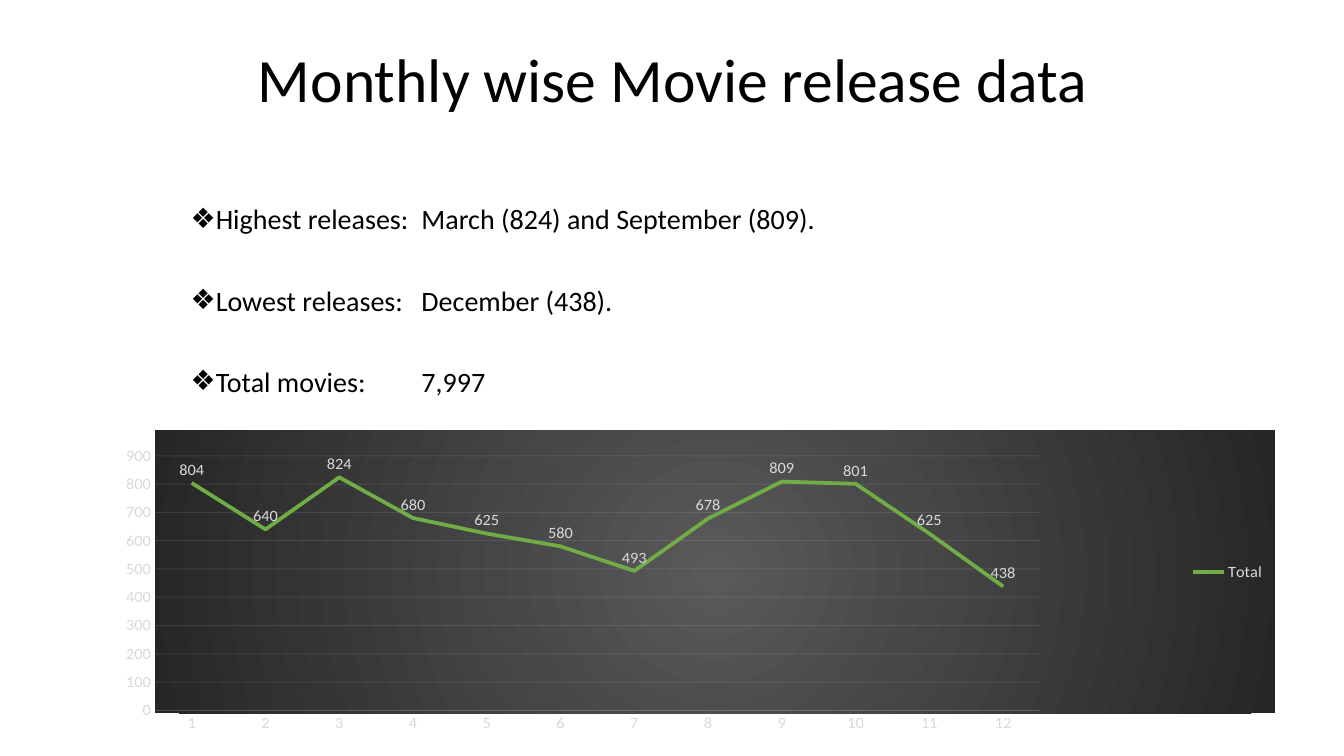
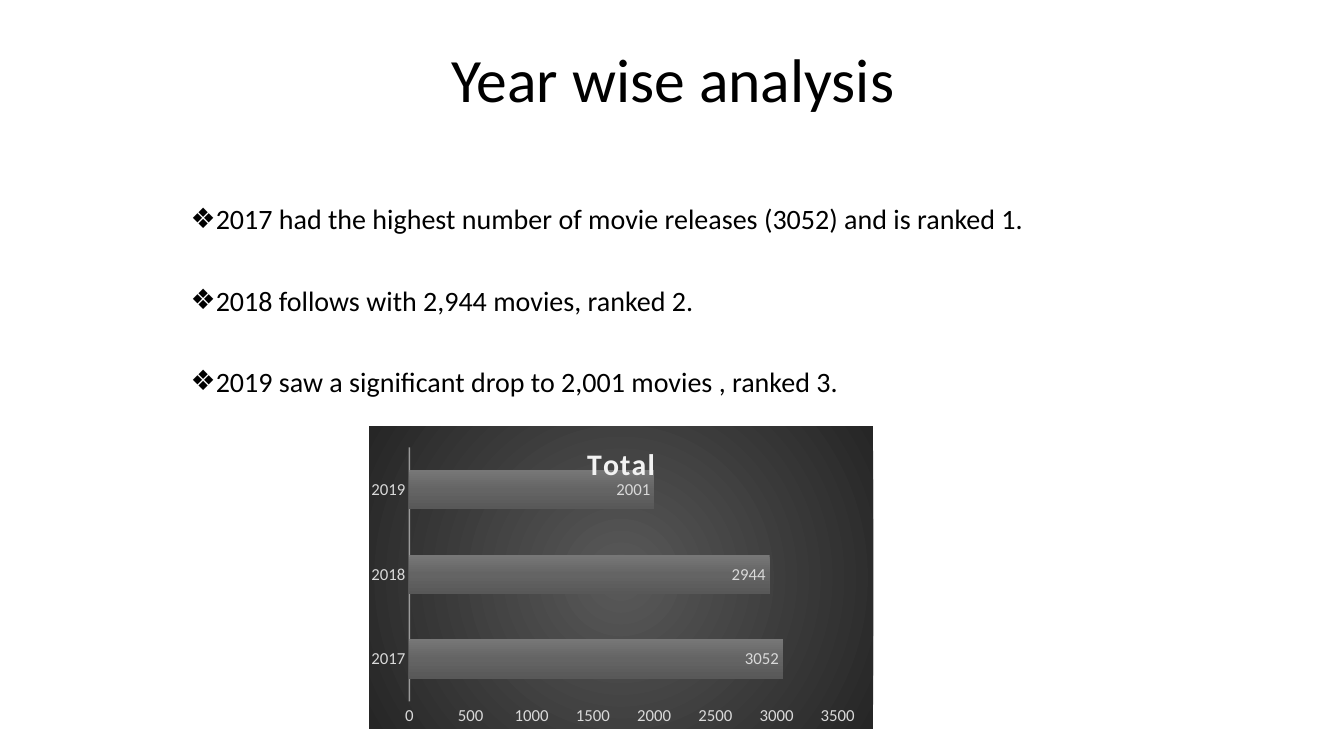
from lxml import etree
from pptx import Presentation
from pptx import util as u
from pptx.chart import data as cd
from pptx.dml.color import RGBColor
from pptx.enum import chart as ch
from pptx.enum import text as tx
from pptx.oxml import parse_xml
from pptx.oxml import ns

PX = 9144  # 100 px to the inch
FONT = "Calibri"
INK = {
    "text": "000000",
    "label": "D9D9D9",
    "pale": "F2F2F2",
    "line": "70AD47",
    "glow": "595959",
    "edge": "262626",
    "top": "777777",
    "mid": "646464",
    "base": "585858",
}
TITLE = (180, 41, 975, 82)
BODY = (179, 162, 975, 505)
TAB = 229


def px(n):
    return u.Emu(n * PX)


def rgb(key):
    return RGBColor.from_string(INK[key])


def style(font, size, key, bold=False):
    font.name, font.size, font.bold = FONT, u.Pt(size), bold
    font.color.rgb = rgb(key)


def place(shape, box):
    shape.left, shape.top, shape.width, shape.height = map(px, box)


# Text

def add_run(para, words, size, key="text", bold=False):
    run = para.add_run()
    run.text = words
    style(run.font, size, key, bold)
    return run


def set_title(slide, words):
    shape = slide.shapes.title
    place(shape, TITLE)
    frame = shape.text_frame
    frame.auto_size = tx.MSO_AUTO_SIZE.NONE
    frame.vertical_anchor = tx.MSO_ANCHOR.MIDDLE
    para = frame.paragraphs[0]
    para.alignment, para.line_spacing = tx.PP_ALIGN.CENTER, 0.9
    add_run(para, words, 44)


def set_list(slide, items):
    shape = slide.placeholders[1]
    place(shape, BODY)
    frame = shape.text_frame
    frame.auto_size = tx.MSO_AUTO_SIZE.NONE
    for i, words in enumerate(items):
        para = frame.add_paragraph() if i else frame.paragraphs[0]
        para.line_spacing, para.space_before = 2.0, u.Pt(10)
        add_run(para, words, 20)
        # Bullet with a hanging indent, and a tab stop for the values
        prop = para._p.get_or_add_pPr()
        prop.set("marL", str(px(25)))
        prop.set("indent", str(px(-25)))
        etree.SubElement(prop, ns.qn("a:buChar"), char="❖")
        if "\t" in words:
            tabs = etree.SubElement(prop, ns.qn("a:tabLst"))
            etree.SubElement(tabs, ns.qn("a:tab"), pos=str(px(TAB)), algn="l")


# Chart parts

def grad(stops, way):
    marks = "".join(
        f'<a:gs pos="{pos * 1000}"><a:srgbClr val="{INK[key]}"/></a:gs>'
        for pos, key in stops)
    return parse_xml(
        f'<a:gradFill {ns.nsdecls("a")} rotWithShape="1">'
        f'<a:gsLst>{marks}</a:gsLst>{way}</a:gradFill>')


def set_back(chart):
    prop = parse_xml(f'<c:spPr {ns.nsdecls("c", "a")}>'
                     '<a:ln><a:noFill/></a:ln></c:spPr>')
    way = ('<a:path path="circle"><a:fillToRect l="50000" t="50000" '
           'r="50000" b="50000"/></a:path>')
    prop.insert(0, grad([(0, "glow"), (100, "edge")], way))
    chart._chartSpace.find(ns.qn("c:chart")).addnext(prop)


def set_plot(chart, box):
    area = chart._chartSpace.find(".//" + ns.qn("c:plotArea"))
    old = area.find(ns.qn("c:layout"))
    if old is not None:
        area.remove(old)
    sizes = "".join(f'<c:{k} val="{v}"/>' for k, v in zip("xywh", box))
    area.insert(0, parse_xml(
        f'<c:layout {ns.nsdecls("c")}><c:manualLayout>'
        '<c:layoutTarget val="inner"/><c:xMode val="edge"/>'
        f'<c:yMode val="edge"/>{sizes}</c:manualLayout></c:layout>'))


def set_line(line, width, alpha):
    line.width = u.Pt(width)
    line.color.rgb = rgb("pale")
    for tone in line._ln.iter(ns.qn("a:srgbClr")):
        etree.SubElement(tone, ns.qn("a:alpha"), val=str(alpha * 1000))


def set_axes(chart, width, alpha, grid):
    for axis in (chart.category_axis, chart.value_axis):
        axis.major_tick_mark = axis.minor_tick_mark = ch.XL_TICK_MARK.NONE
        axis.has_major_gridlines = False
        style(axis.tick_labels.font, 12, "label")
    set_line(chart.category_axis.format.line, width, alpha)
    axis = chart.value_axis
    axis.format.line.fill.background()
    if grid:
        axis.has_major_gridlines = True
        set_line(axis.major_gridlines.format.line, 0.75, 10)


def set_labels(plot, spot):
    plot.vary_by_categories = False
    plot.has_data_labels = True
    labels = plot.data_labels
    labels.show_value, labels.position = True, spot
    style(labels.font, 12, "label")


def add_chart(slide, kind, box, cats, vals, area):
    data = cd.CategoryChartData()
    data.categories = cats
    data.add_series("Total", vals)
    chart = slide.shapes.add_chart(kind, *map(px, box), data).chart
    style(chart.font, 10, "text")
    chart.has_title = chart.has_legend = False
    set_back(chart)
    set_plot(chart, area)
    return chart


# Slides

def add_slide(deck, title, items):
    slide = deck.slides.add_slide(deck.slide_layouts[1])
    set_title(slide, title)
    set_list(slide, items)
    return slide


def add_months(deck):
    slide = add_slide(deck, "Monthly wise Movie release data", [
        "Highest releases:\tMarch (824) and September (809).",
        "Lowest releases:\tDecember (438).",
        "Total movies:\t7,997",
    ])
    chart = add_chart(
        slide, ch.XL_CHART_TYPE.LINE, (125, 427, 1140, 300),
        [str(n) for n in range(1, 13)],
        [804, 640, 824, 680, 625, 580, 493, 678, 809, 801, 625, 438],
        (0, 0.09, 0.79, 0.9))
    set_axes(chart, 0.75, 10, True)
    set_labels(chart.plots[0], ch.XL_LABEL_POSITION.ABOVE)
    total = chart.plots[0].series[0]
    total.smooth = False
    total.marker.style = ch.XL_MARKER_STYLE.NONE
    total.format.line.width = u.Pt(2.75)
    total.format.line.color.rgb = rgb("line")
    chart.has_legend = True
    chart.legend.position = ch.XL_LEGEND_POSITION.RIGHT
    chart.legend.include_in_layout = False
    style(chart.legend.font, 12, "label")


def add_years(deck):
    slide = add_slide(deck, "Year wise analysis", [
        "2017 had the highest number of movie releases (3052) and is ranked 1.",
        "2018 follows with 2,944 movies, ranked 2.",
        "2019 saw a significant drop to 2,001 movies , ranked 3.",
    ])
    chart = add_chart(
        slide, ch.XL_CHART_TYPE.BAR_CLUSTERED, (366, 423, 500, 300),
        ["2017", "2018", "2019"], [3052, 2944, 2001],
        (0.08, 0.07, 0.85, 0.84))
    set_axes(chart, 1, 54, False)
    plot = chart.plots[0]
    set_labels(plot, ch.XL_LABEL_POSITION.INSIDE_END)
    plot.gap_width, plot.overlap = 115, -20
    prop = plot.series[0]._element.get_or_add_spPr()
    prop.insert(0, grad([(0, "top"), (50, "mid"), (100, "base")],
                        '<a:lin ang="5400000" scaled="0"/>'))
    chart.has_title = True
    para = chart.chart_title.text_frame.paragraphs[0]
    run = add_run(para, "Total", 21.3, "pale", True)
    run.font._element.set("spc", "100")


def main():
    deck = Presentation()
    deck.slide_width, deck.slide_height = px(1333), px(750)
    add_months(deck)
    add_years(deck)
    deck.save("out.pptx")


if __name__ == "__main__":
    main()
